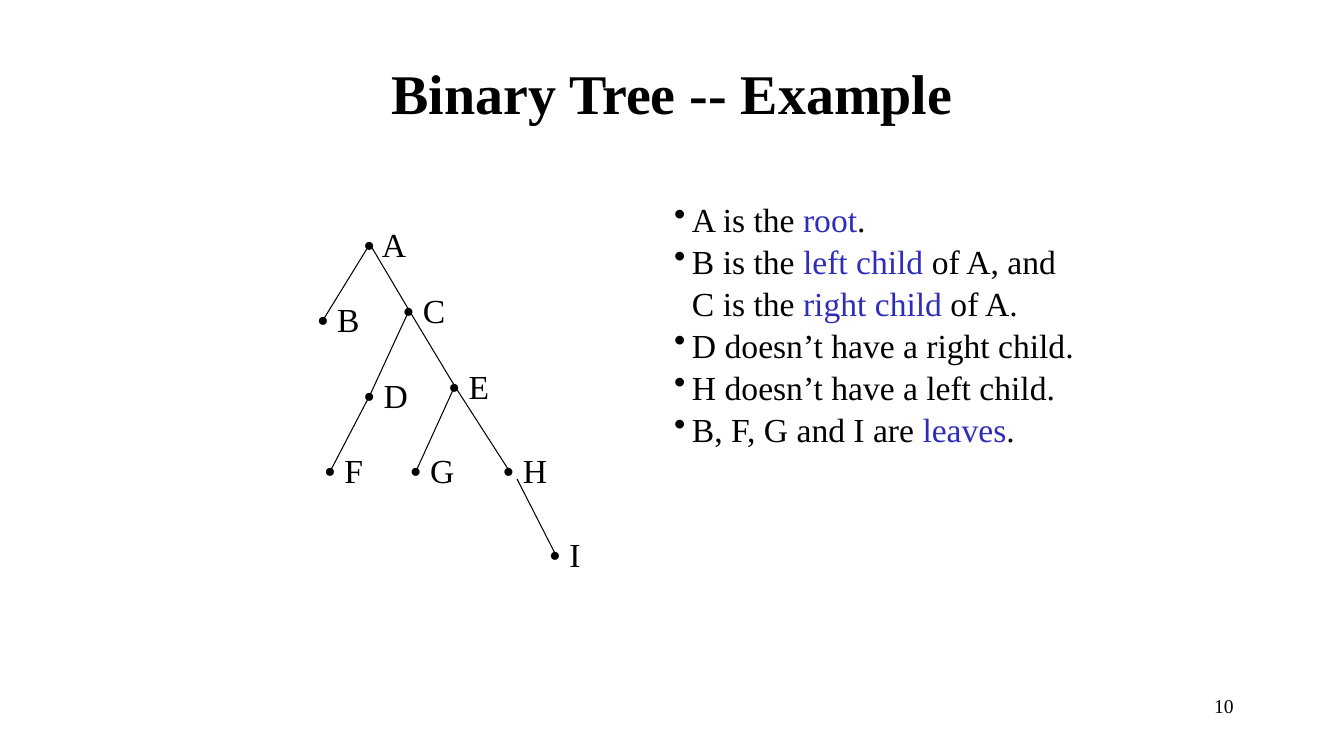
from lxml import etree
from pptx import Presentation
from pptx import util as u
from pptx.dml.color import RGBColor
from pptx.enum import shapes, text
from pptx.oxml.ns import qn

BLACK = RGBColor(0x00, 0x00, 0x00)
BLUE = RGBColor(0x2D, 0x2D, 0xB9)
FONT = "Times New Roman"
BODY_SIZE = 24
DOT_OFFSET = (0.41, 0.64)
HANGING = 0.45

NODES = {
    "A": (9.32, 6.15), "B": (8.15, 8.05), "C": (10.31, 7.82),
    "D": (9.32, 9.96), "E": (11.46, 9.73), "F": (8.33, 11.86),
    "G": (10.49, 11.86), "H": (12.83, 11.86), "I": (14.0, 13.97),
}
EDGES = ["AB", "AC", "CD", "CE", "DF", "EG", "EH", "HI"]
EDGE_STARTS = {"HI": (13.03, 12.07)}

FACTS = [
    (True, ["A is the ", "root", "."]),
    (True, ["B is the ", "left child ", "of A, and"]),
    (False, ["C is the ", "right child ", "of A."]),
    (True, ["D doesn’t have a right child."]),
    (True, ["H doesn’t have a left child."]),
    (True, ["B, F, G and I are ", "leaves", "."]),
]


class TreeSlide:
    """Holds the text style and the slide that is being filled."""

    def __init__(self, deck):
        self.page = deck.slides.add_slide(deck.slide_layouts[5])

    def style(self, span, size, color=BLACK, bold=False):
        span.font.name = FONT
        span.font.size = u.Pt(size)
        span.font.bold = bold
        span.font.color.rgb = color

    def title(self, words, left, top, width, height):
        box = self.page.shapes.title
        box.left, box.top = u.Cm(left), u.Cm(top)
        box.width, box.height = u.Cm(width), u.Cm(height)
        box.text_frame.text = words
        box.text_frame.vertical_anchor = text.MSO_ANCHOR.MIDDLE
        para = box.text_frame.paragraphs[0]
        para.alignment = text.PP_ALIGN.CENTER
        self.style(para.runs[0], 40, bold=True)

    def frame(self, left, top, width, height):
        box = self.page.shapes.add_textbox(
            u.Cm(left), u.Cm(top), u.Cm(width), u.Cm(height))
        box.text_frame.word_wrap = True
        return box.text_frame

    def label(self, words, left, top, width, height, size=BODY_SIZE,
              align=text.PP_ALIGN.LEFT):
        frame = self.frame(left, top, width, height)
        frame.text = words
        para = frame.paragraphs[0]
        para.alignment = align
        self.style(para.runs[0], size)

    def node(self, name, across, down):
        self.label(f"• {name}", across - DOT_OFFSET[0], down - DOT_OFFSET[1],
                   1.7, 1.3)

    def edge(self, start, end):
        line = self.page.shapes.add_connector(
            shapes.MSO_CONNECTOR.STRAIGHT, *map(u.Cm, start + end))
        line.line.color.rgb = BLACK
        line.line.width = u.Pt(0.75)
        properties = line._element.spPr
        etree.SubElement(properties, qn("a:effectLst"))

    def facts(self, lines, left, top, width, height):
        frame = self.frame(left, top, width, height)
        for index, (bulleted, parts) in enumerate(lines):
            para = frame.add_paragraph() if index else frame.paragraphs[0]
            para.space_before = u.Pt(1.2)
            for position, part in enumerate(parts):
                span = para.add_run()
                span.text = part
                self.style(span, BODY_SIZE, BLUE if position == 1 else BLACK)
            properties = para._p.get_or_add_pPr()
            properties.set("marL", str(u.Cm(HANGING)))
            if bulleted:
                properties.set("indent", str(-u.Cm(HANGING)))
                etree.SubElement(properties, qn("a:buChar"), char="•")


def main():
    deck = Presentation()
    deck.slide_width, deck.slide_height = u.Cm(33.87), u.Cm(19.05)
    slide = TreeSlide(deck)
    slide.label("10", 24.28, 17.35, 7.06, 1.27, 14, text.PP_ALIGN.RIGHT)
    slide.title("Binary Tree -- Example", 2.54, 1.27, 28.78, 2.12)
    for edge in EDGES:
        parent, child = edge
        slide.edge(EDGE_STARTS.get(edge, NODES[parent]), NODES[child])
    for name, (across, down) in NODES.items():
        slide.node(name, across, down)
    slide.facts(FACTS, 16.74, 4.88, 11.2, 7.44)
    deck.save("out.pptx")


if __name__ == "__main__":
    main()
